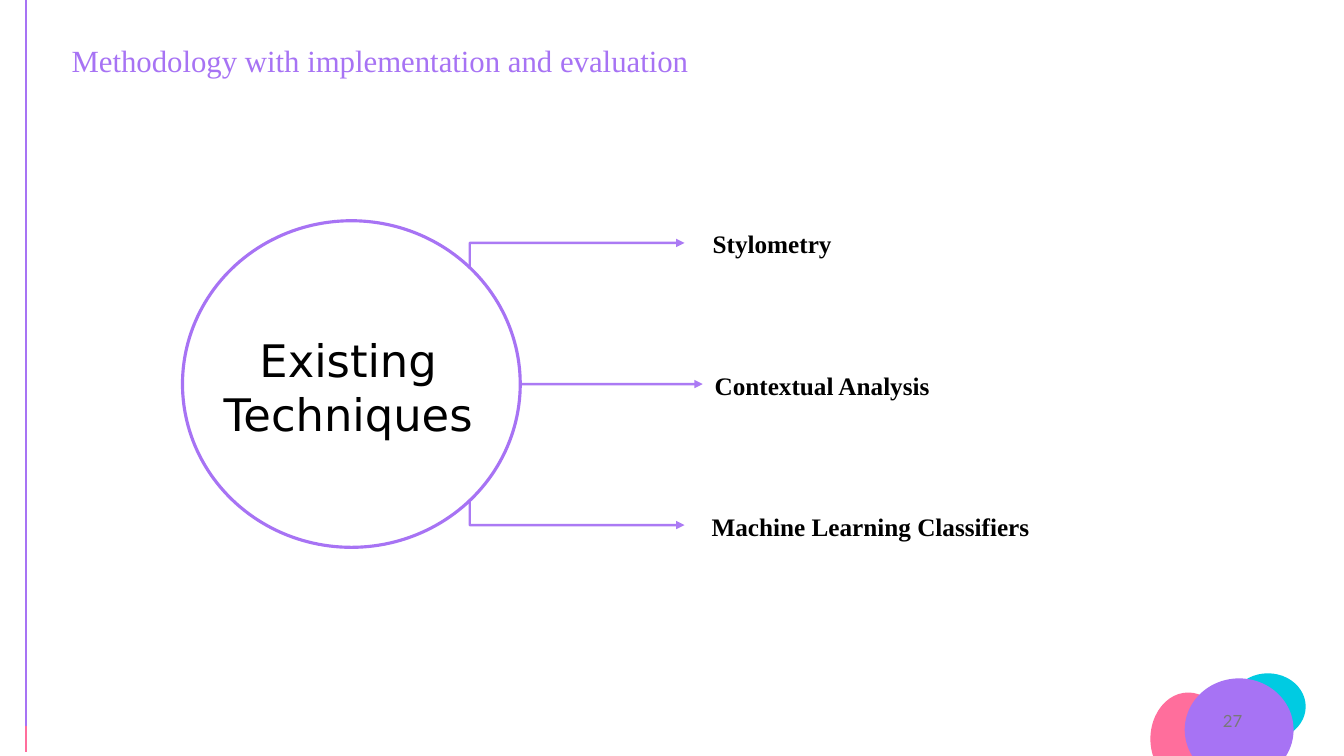
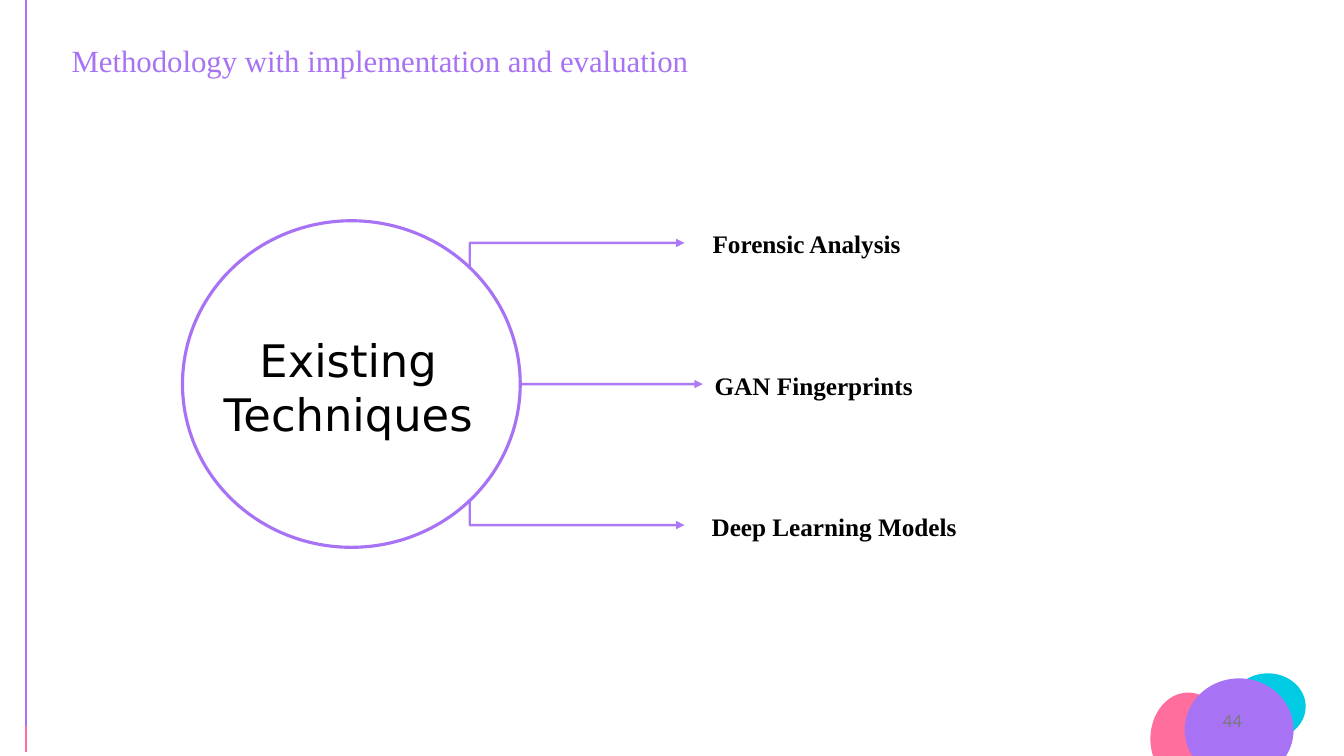
from lxml.etree import SubElement
from pptx import Presentation
from pptx.dml.color import RGBColor
from pptx.enum.shapes import MSO_CONNECTOR as Connector, MSO_SHAPE as Shape
from pptx.enum.text import MSO_ANCHOR as Anchor, MSO_AUTO_SIZE as AutoSize, PP_ALIGN as Align
from pptx.oxml.ns import qn
from pptx.util import Emu, Pt

PX = 9144  # 100 px to the inch

PURPLE = RGBColor(0xA7, 0x73, 0xF4)
PINK = RGBColor(0xFF, 0x6E, 0x9C)
CYAN = RGBColor(0x00, 0xCB, 0xE2)
GREY = RGBColor(0x79, 0x79, 0x79)
BLACK = RGBColor(0, 0, 0)

TITLE = "Methodology with implementation and evaluation"
HUB = "Existing Techniques"
SLIDES = [
    ("27", ["Stylometry", "Contextual Analysis", "Machine Learning Classifiers"]),
    ("44", ["Forensic Analysis", "GAN Fingerprints", "Deep Learning Models"]),
]

TITLE_FONT = dict(name="Times New Roman", size=Pt(22), bold=False)
LABEL_FONT = dict(name="Times New Roman", size=Pt(18), bold=True)
HUB_FONT = dict(name="DejaVu Sans", size=Pt(32))
NUMBER_FONT = dict(name="Lato", size=Pt(12))

BLOBS = [
    ((1141, 687, 75, 92), PINK),
    ((1220, 668, 75, 66), CYAN),
    ((1175, 673, 108, 102), PURPLE),
]
RAIL_X = 26
RAIL = [(0, 720, PURPLE), (720, 746, PINK)]

CIRCLE = (181, 219, 335, 324)
ARROWS = [  # start on the circle, then the arrow tip
    ((466, 266), (679, 241)),
    ((516, 381), (697, 381)),
    ((466, 495), (679, 521)),
]
LABEL_LEFTS = [697, 699, 696]
LABEL_TOP, LABEL_STEP = 222, 140


def px(*values):
    return [Emu(value * PX) for value in values]


def write(shape, text, font, color, align=Align.LEFT, anchor=Anchor.TOP):
    frame = shape.text_frame
    frame.word_wrap = True
    frame.auto_size = AutoSize.NONE
    frame.vertical_anchor = anchor
    frame.text = text
    paragraph = frame.paragraphs[0]
    paragraph.alignment = align
    for name, value in font.items():
        setattr(paragraph.font, name, value)
    paragraph.font.color.rgb = color


def add_text(slide, box, *args, **kwargs):
    write(slide.shapes.add_textbox(*px(*box)), *args, **kwargs)


def add_ellipse(slide, box, fill=None, line=None):
    shape = slide.shapes.add_shape(Shape.OVAL, *px(*box))
    shape.shadow.inherit = False
    if fill is None:
        shape.fill.background()
    else:
        shape.fill.solid()
        shape.fill.fore_color.rgb = fill
    if line is None:
        shape.line.fill.background()
    else:
        shape.line.color.rgb = line
        shape.line.width = Pt(2.25)


def add_line(slide, start, end, color, width, kind=Connector.STRAIGHT):
    connector = slide.shapes.add_connector(kind, *px(*start, *end))
    connector.line.color.rgb = color
    connector.line.width = Pt(width)
    SubElement(connector._element.spPr, qn("a:effectLst"))
    return connector


def add_arrow(slide, start, tip):
    """Draw from the tip back, so that an elbow runs level before it turns."""
    bent = start[1] != tip[1]
    kind = Connector.ELBOW if bent else Connector.STRAIGHT
    connector = add_line(slide, tip, start, PURPLE, 1.75, kind)
    properties = connector._element.spPr
    if bent:
        guides = properties.find(qn("a:prstGeom")).get_or_add_avLst()
        SubElement(guides, qn("a:gd"), name="adj1", fmla="val 100000")
    outline = properties.find(qn("a:ln"))
    SubElement(outline.find(".//" + qn("a:srgbClr")), qn("a:alpha"), val="95000")
    SubElement(outline, qn("a:headEnd"), type="triangle")


def add_frame(slide, number):
    """Add what every slide shares: title, rail, blobs and page number."""
    title = slide.shapes.title
    title.left, title.top, title.width, title.height = px(61, 36, 902, 47)
    write(title, TITLE, TITLE_FONT, PURPLE)
    for box, color in BLOBS:
        add_ellipse(slide, box, fill=color)
    add_text(slide, (942, 695, 300, 40), number, NUMBER_FONT, GREY,
             align=Align.RIGHT, anchor=Anchor.MIDDLE)
    for top, bottom, color in RAIL:
        add_line(slide, (RAIL_X, top), (RAIL_X, bottom), color, 1.5)


def add_techniques(slide, labels):
    add_text(slide, (178, 325, 335, 118), HUB, HUB_FONT, BLACK, align=Align.CENTER)
    add_ellipse(slide, CIRCLE, line=PURPLE)
    for row, (label, left, arrow) in enumerate(zip(labels, LABEL_LEFTS, ARROWS)):
        add_arrow(slide, *arrow)
        add_text(slide, (left, LABEL_TOP + row * LABEL_STEP, 600, 40),
                 label, LABEL_FONT, BLACK)


def main():
    presentation = Presentation()
    presentation.slide_width, presentation.slide_height = px(1333, 750)
    for number, labels in SLIDES:
        slide = presentation.slides.add_slide(presentation.slide_layouts[5])
        add_frame(slide, number)
        add_techniques(slide, labels)
    presentation.save("out.pptx")


if __name__ == "__main__":
    main()
